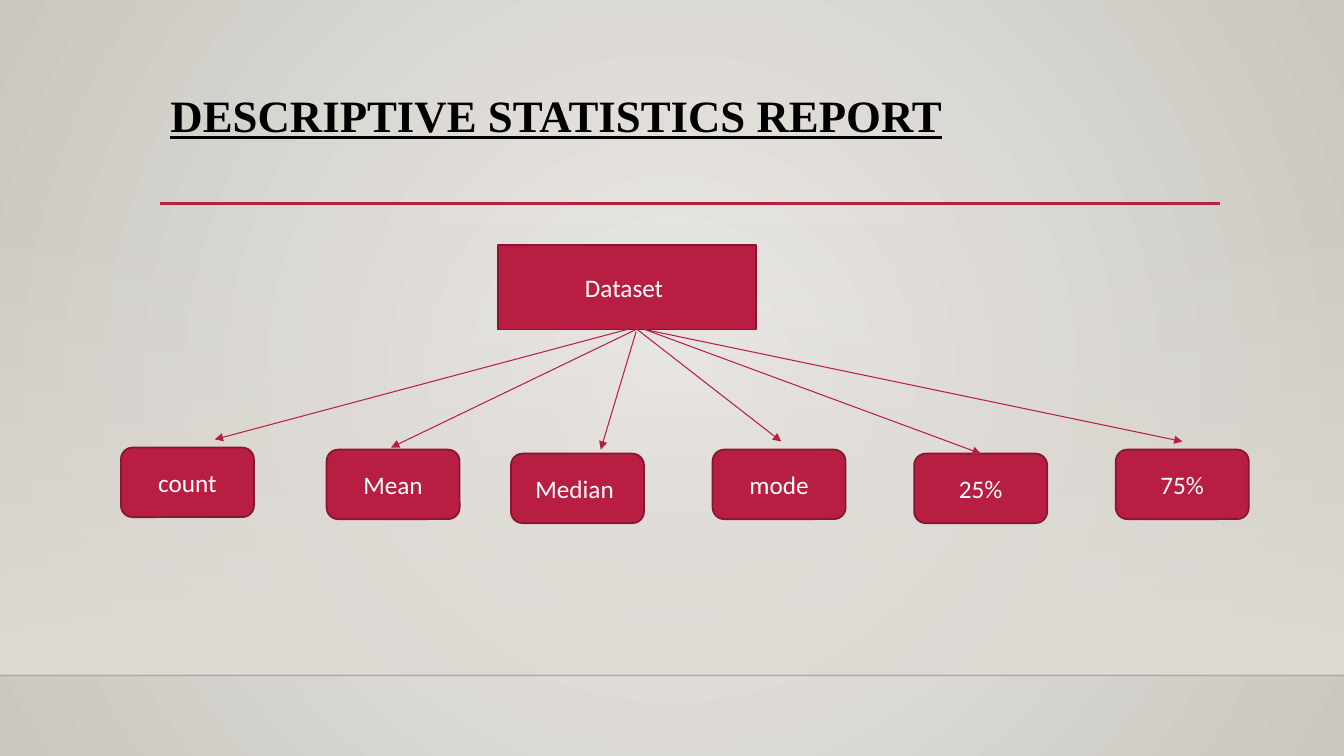
from pptx import Presentation
from pptx.dml.color import RGBColor
from pptx.enum.shapes import MSO_CONNECTOR as Connector, MSO_SHAPE as Preset
from pptx.enum.text import MSO_ANCHOR as Anchor, MSO_AUTO_SIZE as AutoSize, PP_ALIGN as Align
from pptx.oxml.ns import qn
from pptx.util import Inches, Pt
from lxml.etree import SubElement

WIDTH, HEIGHT = Inches(13.33), Inches(7.5)
COLUMN, ROW = WIDTH / 100, HEIGHT / 100

CRIMSON = RGBColor(0xB7, 0x1E, 0x42)
DARK_CRIMSON = RGBColor(0x87, 0x16, 0x31)
WHITE = RGBColor(0xFF, 0xFF, 0xFF)
BLACK = RGBColor(0x00, 0x00, 0x00)
PALE_STONE = RGBColor(0xEC, 0xEA, 0xE7)
DEEP_STONE = RGBColor(0xCA, 0xC7, 0xC1)
FLOOR_STONE = RGBColor(0xDF, 0xDB, 0xD5)

TITLE_AREA = (11.93, 11.73, 78.75, 15.33)
FLOOR_AREA = (0, 29.47, 100, 59.87)
FLOOR_EDGE = 89.33
DATASET_AREA = (37.05, 32.4, 19.2, 11.2)
BOX_SIZE = (9.9, 9.2)
STATISTICS = [
    ("count", (9, 59.2), (48.6, 42.67), (15.98, 58.13)),
    ("Mean", (24.3, 59.47), (47.63, 43.33), (29.1, 59.2)),
    ("Median ", (38.02, 60), (47.33, 43.87), (44.7, 59.47)),
    ("mode", (53.02, 59.47), (46.65, 42.53), (58.13, 58.4)),
    ("25%", (68.02, 60), (48, 43.6), (72.98, 60)),
    ("75%", (83.02, 59.47), (48, 43.6), (87.98, 58.4)),
]


def place(x, y):
    """Turn percentages of the slide into a position or size."""
    return round(x * COLUMN), round(y * ROW)


def add_alpha(colour_element, percent):
    """Set the opacity of a colour element."""
    SubElement(colour_element, qn("a:alpha")).set("val", str(percent * 1000))


def make_gradient(properties, stops, circular=False):
    """Swap a solid fill for a circular or top-down gradient of (colour, opacity) stops."""
    solid = properties.find(qn("a:solidFill"))
    gradient = SubElement(properties, qn("a:gradFill"))
    gradient.set("rotWithShape", "1")
    properties.replace(solid, gradient)
    stop_list = SubElement(gradient, qn("a:gsLst"))
    for index, (colour, opacity) in enumerate(stops):
        stop = SubElement(stop_list, qn("a:gs"))
        stop.set("pos", str(index * 100000))
        shade = SubElement(stop, qn("a:srgbClr"))
        shade.set("val", str(colour))
        if opacity < 100:
            add_alpha(shade, opacity)
    if circular:
        route = SubElement(gradient, qn("a:path"))
        route.set("path", "circle")
        centre = SubElement(route, qn("a:fillToRect"))
        for side in "ltrb":
            centre.set(side, "50000")
    else:
        SubElement(gradient, qn("a:lin")).set("ang", "5400000")


def write(frame, text, *, size, font, colour, align, anchor, bold=False, underline=False, spacing=1.0):
    """Write one formatted paragraph into a text frame."""
    frame.word_wrap = True
    frame.auto_size = AutoSize.NONE
    frame.vertical_anchor = anchor
    paragraph = frame.paragraphs[0]
    paragraph.alignment = align
    paragraph.line_spacing = spacing
    run = paragraph.add_run()
    run.text = text
    run.font.size = Pt(size)
    run.font.name = font
    run.font.color.rgb = colour
    run.font.bold = bold
    run.font.underline = underline


def add_line(slide, start, end, colour, weight, arrow=False, opacity=100):
    """Draw a straight line, with an optional arrowhead at its end."""
    line = slide.shapes.add_connector(Connector.STRAIGHT, *place(*start), *place(*end))
    line.line.color.rgb = colour
    line.line.width = Pt(weight)
    properties = line.element.spPr
    outline = properties.find(qn("a:ln"))
    if opacity < 100:
        add_alpha(outline.find(".//" + qn("a:srgbClr")), opacity)
    if arrow:
        SubElement(outline, qn("a:tailEnd")).set("type", "triangle")
    SubElement(properties, qn("a:effectLst"))


def add_box(slide, preset, area, label):
    """Draw a crimson box with a centred label."""
    box = slide.shapes.add_shape(preset, *place(*area[:2]), *place(*area[2:]))
    box.shadow.inherit = False
    box.fill.solid()
    box.fill.fore_color.rgb = CRIMSON
    box.line.color.rgb = DARK_CRIMSON
    box.line.width = Pt(1.25)
    write(box.text_frame, label, size=18, font="Calibri", colour=WHITE,
          align=Align.CENTER, anchor=Anchor.MIDDLE)


def add_backdrop(slide):
    """Draw the stone background, the floor and its edge."""
    slide.background.fill.solid()
    make_gradient(slide.element.find(".//" + qn("p:bgPr")),
                  [(PALE_STONE, 100), (DEEP_STONE, 100)], circular=True)
    floor = slide.shapes.add_shape(Preset.RECTANGLE, *place(*FLOOR_AREA[:2]), *place(*FLOOR_AREA[2:]))
    floor.shadow.inherit = False
    floor.line.fill.background()
    floor.fill.solid()
    make_gradient(floor.element.spPr, [(FLOOR_STONE, 0), (FLOOR_STONE, 100)])
    add_line(slide, (0, FLOOR_EDGE), (100, FLOOR_EDGE), BLACK, 1, opacity=20)


def add_title(slide):
    """Fill the title placeholder and draw the rule under it."""
    title = slide.shapes.title
    title.left, title.top = place(*TITLE_AREA[:2])
    title.width, title.height = place(*TITLE_AREA[2:])
    write(title.text_frame, "DESCRIPTIVE STATISTICS REPORT", size=32, font="Times New Roman",
          colour=BLACK, align=Align.LEFT, anchor=Anchor.TOP, bold=True, underline=True, spacing=0.9)
    add_line(slide, (11.93, 26.93), (90.75, 26.93), CRIMSON, 2.5)


def main():
    """Build the slide and save it."""
    deck = Presentation()
    deck.slide_width, deck.slide_height = WIDTH, HEIGHT
    slide = deck.slides.add_slide(deck.slide_layouts.get_by_name("Title Only"))
    add_backdrop(slide)
    add_title(slide)
    add_box(slide, Preset.RECTANGLE, DATASET_AREA, "Dataset ")
    for label, corner, _, _ in STATISTICS:
        add_box(slide, Preset.ROUNDED_RECTANGLE, corner + BOX_SIZE, label)
    for _, _, start, end in STATISTICS:
        add_line(slide, start, end, CRIMSON, 0.75, arrow=True)
    deck.save("out.pptx")


if __name__ == "__main__":
    main()
